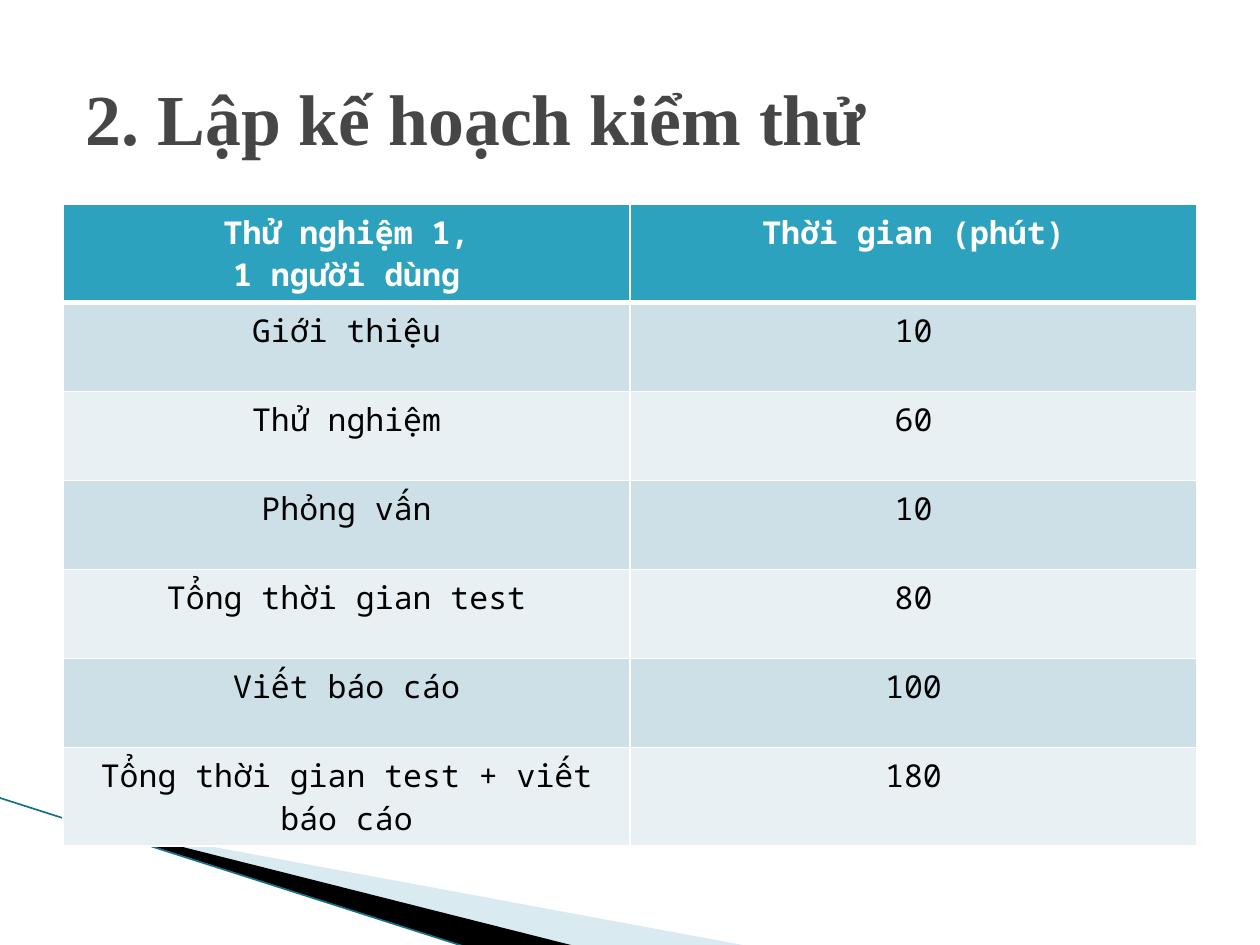
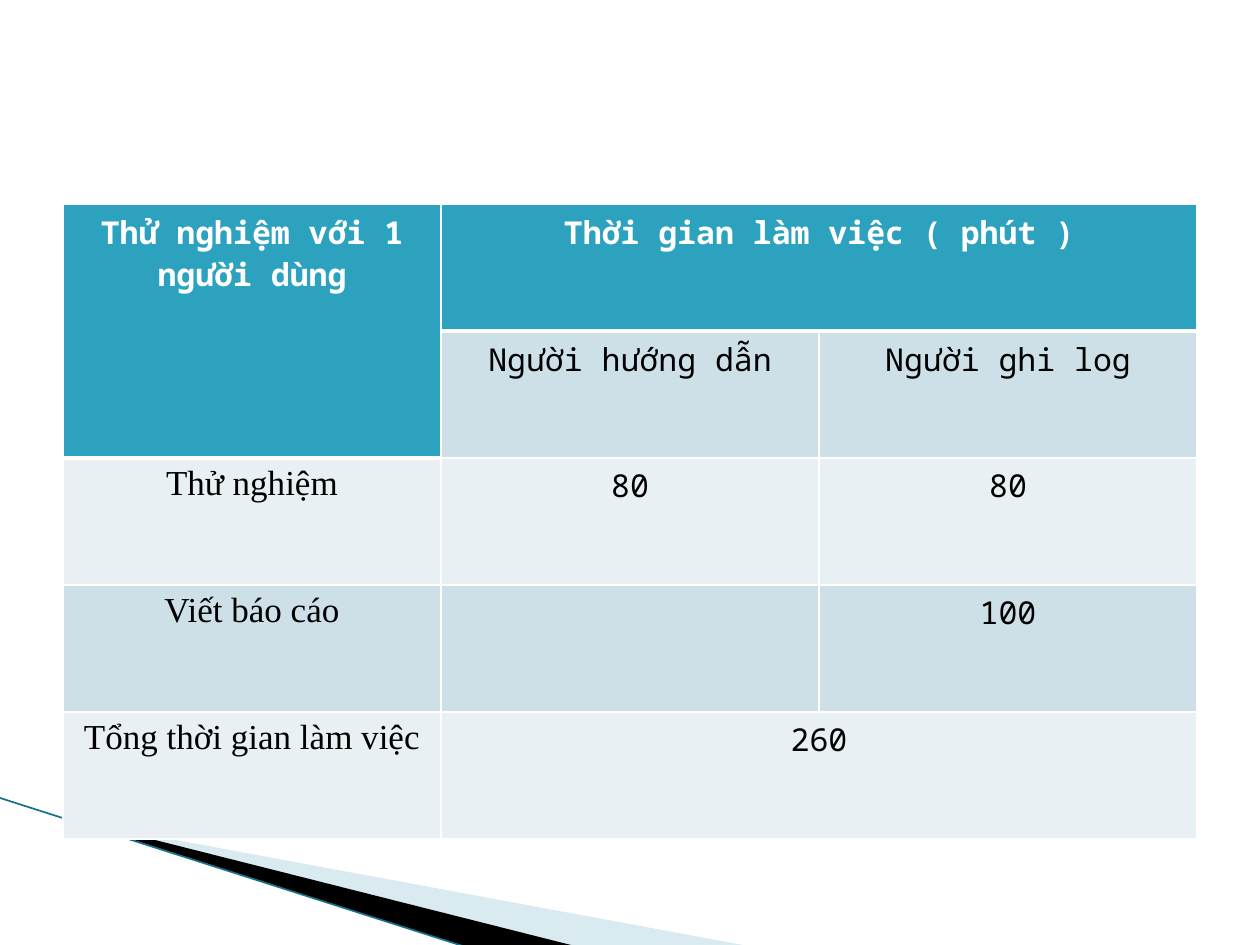
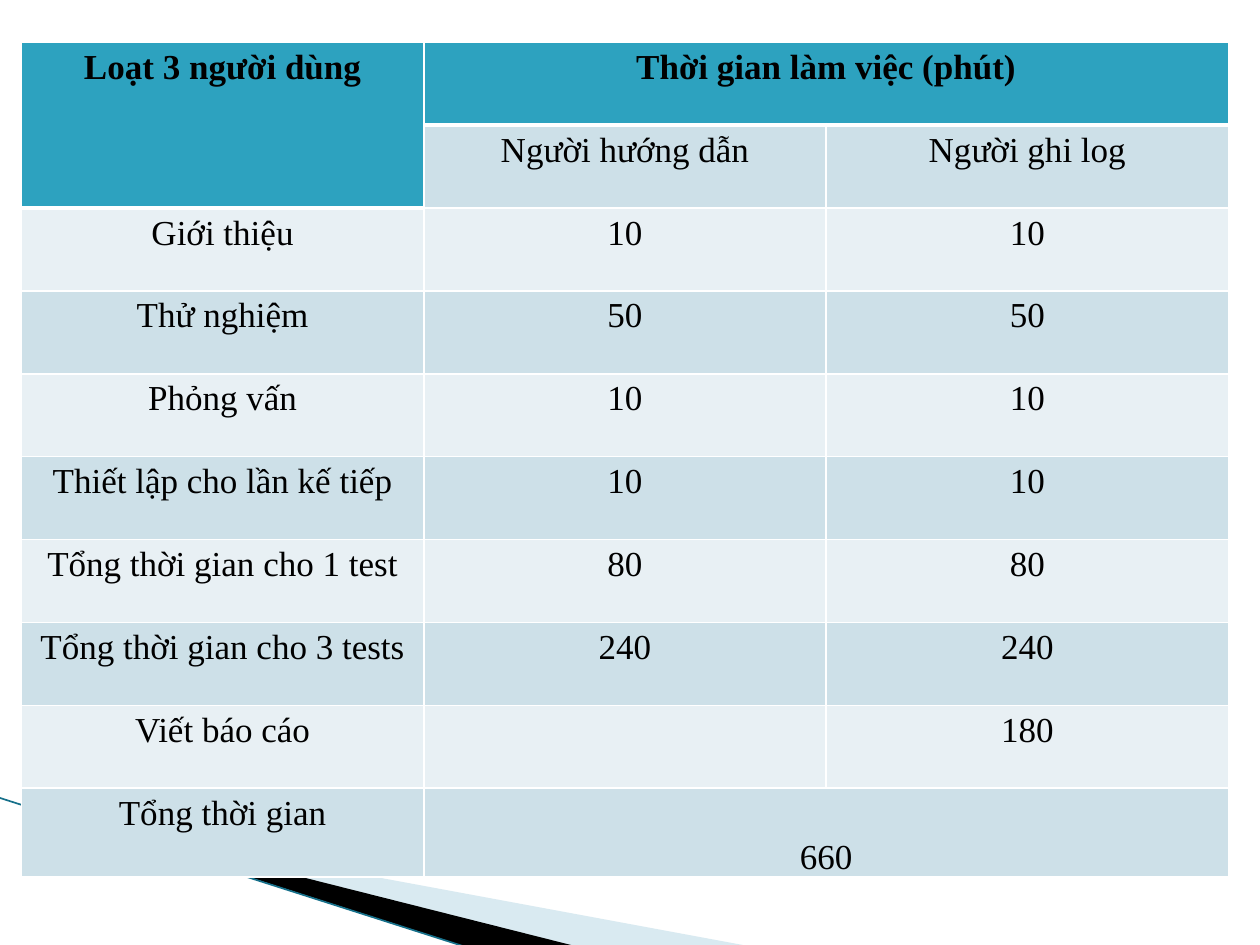
"""Build three slides of test-planning timetables over a shared corner band."""
from lxml.etree import SubElement
from pptx import Presentation
from pptx.dml.color import RGBColor
from pptx.enum.shapes import MSO_CONNECTOR as Connector
from pptx.enum.text import MSO_ANCHOR as Anchor, PP_ALIGN as Align
from pptx.oxml.ns import qn
from pptx.util import Inches, Pt

SANS, SERIF = "Noto Sans Mono", "Times New Roman"
TEAL, PALE, PALER = "2DA2BF", "CDE0E8", "E8F0F4"
BLACK, WHITE, GREY = "000000", "FFFFFF", "464646"
ICE, EDGE = "A0CBDC", "16708A"


def paint(target, code, alpha=None):
    """Give a fill a solid colour, with an optional opacity in percent."""
    target.solid()
    target.fore_color.rgb = RGBColor.from_string(code)
    if alpha:
        colour = target._xPr.find(qn("a:solidFill"))[0]
        SubElement(colour, qn("a:alpha"), val=str(alpha * 1000))


def write(paragraph, words, look, code):
    """Put words in a paragraph and set the font of its runs."""
    paragraph.text = words
    for run in paragraph.runs:
        for key, value in look.items():
            setattr(run.font, key, value)
        paint(run.font.fill, code)


deck = Presentation()
deck.slide_width, deck.slide_height = Inches(10), Inches(7.5)
unit = deck.slide_width // 100
title_only, blank = deck.slide_layouts[5], deck.slide_layouts[6]

timetables = [
    {
        "title": "2. Lập kế hoạch kiểm thử",
        "at": (5, 16.2, 90),
        "row": 7.07,
        "header": WHITE,
        "serif": lambda r, c: False,
        "merges": [],
        "rows": [
            ["Thử nghiệm 1,\v1 người dùng", "Thời gian (phút)"],
            ["Giới thiệu", "10"],
            ["Thử nghiệm", "60"],
            ["Phỏng vấn", "10"],
            ["Tổng thời gian test", "80"],
            ["Viết báo cáo", "100"],
            ["Tổng thời gian test + viết báo cáo", "180"],
        ],
    },
    {
        "at": (5, 16.2, 90),
        "row": 10.08,
        "header": WHITE,
        "serif": lambda r, c: r > 1 and c == 0,
        "merges": [(0, 0, 1, 0), (0, 1, 0, 2), (4, 1, 4, 2)],
        "rows": [
            ["Thử nghiệm với 1 người dùng", "Thời gian làm việc ( phút )", ""],
            ["", "Người hướng dẫn", "Người ghi log"],
            ["Thử nghiệm", "80", "80"],
            ["Viết báo cáo", "", "100"],
            ["Tổng thời gian làm việc", "260", ""],
        ],
    },
    {
        "at": (1.7, 3.35, 95.8),
        "row": 6.58,
        "header": BLACK,
        "serif": lambda r, c: True,
        "merges": [(0, 0, 1, 0), (0, 1, 0, 2), (9, 1, 9, 2)],
        "drop": (9, 1),
        "rows": [
            ["Loạt 3 người dùng", "Thời gian làm việc (phút)", ""],
            ["", "Người hướng dẫn", "Người ghi log"],
            ["Giới thiệu", "10", "10"],
            ["Thử nghiệm", "50", "50"],
            ["Phỏng vấn", "10", "10"],
            ["Thiết lập cho lần kế tiếp", "10", "10"],
            ["Tổng thời gian cho 1 test", "80", "80"],
            ["Tổng thời gian cho 3 tests", "240", "240"],
            ["Viết báo cáo", "", "180"],
            ["Tổng thời gian", "660", ""],
        ],
    },
]

for plan in timetables:
    slide = deck.slides.add_slide(title_only if "title" in plan else blank)
    if "title" in plan:
        heading = slide.shapes.title
        box = {"left": 5.8, "top": 3, "width": 89.2, "height": 12.5}
        for key, value in box.items():
            setattr(heading, key, int(value * unit))
        heading.text_frame.vertical_anchor = Anchor.MIDDLE
        line = heading.text_frame.paragraphs[0]
        line.alignment = Align.LEFT
        write(line, plan["title"], {"name": SERIF, "size": Pt(41), "bold": True}, GREY)

    rows = plan["rows"]
    left, top, width = (int(share * unit) for share in plan["at"])
    height = int(plan["row"] * unit)
    table = slide.shapes.add_table(
        len(rows), len(rows[0]), left, top, width, height * len(rows)
    ).table
    table.first_row = table.horz_banding = False
    for r1, c1, r2, c2 in plan["merges"]:
        table.cell(r1, c1).merge(table.cell(r2, c2))

    for r, row in enumerate(rows):
        for c, words in enumerate(row):
            cell = table.cell(r, c)
            depth = 2 if plan["merges"] and c == 0 else 1
            header, serif = r < depth, plan["serif"](r, c)
            edges = {"L": 1, "R": 1, "T": 3 if r == depth else 1, "B": 3 if header else 1}
            for side, points in edges.items():
                border = SubElement(
                    cell._tc.get_or_add_tcPr(), qn(f"a:ln{side}"), w=str(Pt(points))
                )
                SubElement(SubElement(border, qn("a:solidFill")), qn("a:srgbClr"), val=WHITE)
            paint(cell.fill, TEAL if header else PALE if r % 2 else PALER)
            if serif:
                margins = {"left": 0.7, "right": 0.7, "top": 0, "bottom": 0}
                if plan.get("drop") == (r, c):
                    margins["top"] = 3.5
                for side, share in margins.items():
                    setattr(cell, f"margin_{side}", int(share * unit))
            if words:
                entry = cell.text_frame.paragraphs[0]
                entry.alignment = Align.CENTER
                if serif:
                    entry.line_spacing = 1.15
                look = {
                    "name": SERIF if serif else SANS,
                    "size": Pt(20 if serif else 18),
                    "bold": header,
                }
                write(entry, words, look, plan["header"] if header else BLACK)

wedges = [
    (ICE, 40, [(5.5, 65.1), (59.5, 75.1), (45.6, 75.1), (5.5, 65)]),
    (BLACK, None, [(5.3, 64.9), (45.7, 75.1), (37.2, 75.2), (5.4, 65)]),
]
canvas = deck.slides[0].shapes
band = []
for code, alpha, corners in wedges:
    start, *others = [(int(x * unit), int(y * unit)) for x, y in corners]
    outline = canvas.build_freeform(*start)
    outline.add_line_segments(others, close=True)
    wedge = outline.convert_to_shape()
    wedge.shadow.inherit = False
    paint(wedge.fill, code, alpha)
    wedge.line.fill.background()
    band.append(wedge)

ridge = canvas.add_connector(
    Connector.STRAIGHT, *(int(share * unit) for share in (-0.1, 63.3, 37.1, 75.2))
)
ridge.line.width = Pt(0.95)
paint(ridge.line.fill, EDGE)
SubElement(ridge.element.spPr, qn("a:effectLst"))
band.append(ridge)

for number, part in enumerate(band, 101):
    part.element.xpath(".//p:cNvPr")[0].set("id", str(number))
    deck.slide_master.shapes.element.append(part.element)

deck.save("out.pptx")
